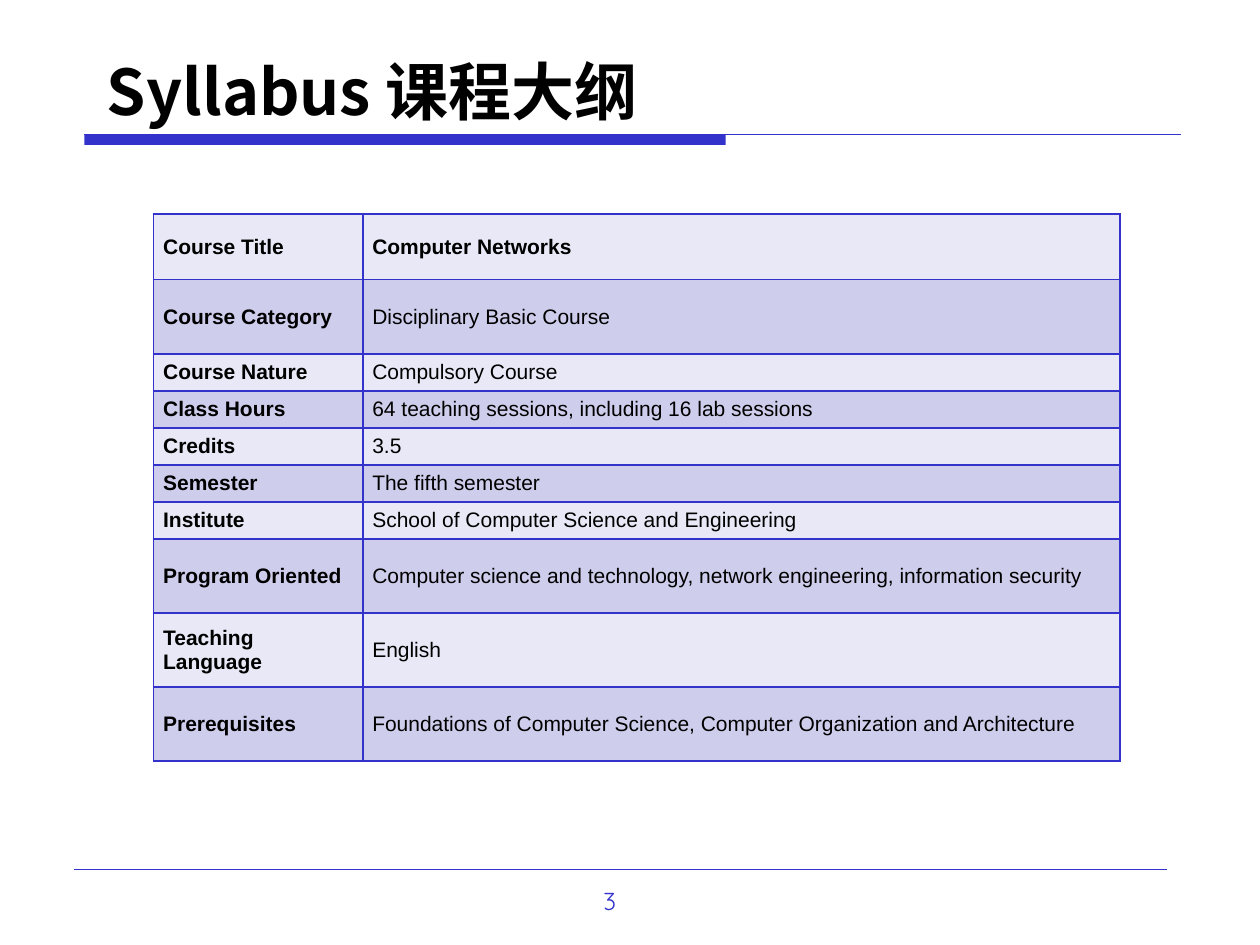
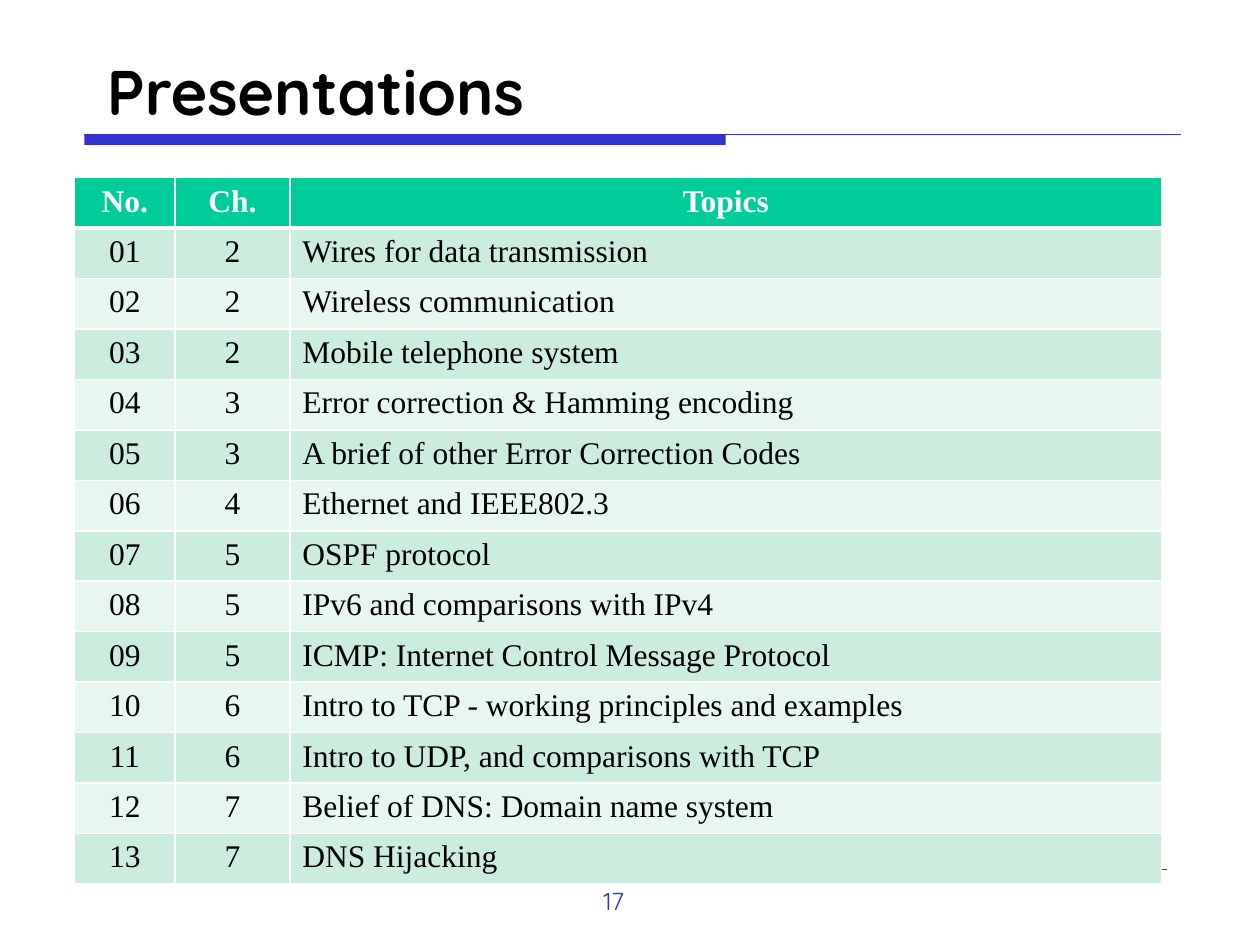
import dataclasses

import lxml.etree
import pptx
import pptx.dml.color
import pptx.enum.shapes
import pptx.enum.text
import pptx.oxml.ns
import pptx.util

ALIGN = pptx.enum.text.PP_ALIGN
ANCHOR = pptx.enum.text.MSO_ANCHOR
qn = pptx.oxml.ns.qn


@dataclasses.dataclass(frozen=True)
class Theme:
    accent: str = "3333CC"
    ink: str = "000000"
    paper: str = "FFFFFF"
    syllabus_bands: tuple = ("E8E8F6", "CECEEC")
    topic_header: str = "00CC99"
    topic_bands: tuple = ("CCECDE", "E7F6EF")
    heading_font: str = "Quicksand"
    chinese_font: str = "Noto Sans CJK SC"
    syllabus_font: str = "Arial"
    topic_font: str = "Times New Roman"
    title_size: int = 36
    page_size: int = 14
    syllabus_size: int = 12
    topic_size: int = 18


THEME = Theme()

# The slide is a grid of 100 columns by 75 rows
COLUMNS, ROWS = 100, 75
UNIT = pptx.util.Inches(0.1)

SYLLABUS = [  # label, value, height in text lines
    ("Course Title", "Computer Networks", 1.77),
    ("Course Category", "Disciplinary Basic Course", 2),
    ("Course Nature", "Compulsory Course", 1),
    ("Class Hours", "64 teaching sessions, including 16 lab sessions", 1),
    ("Credits", "3.5", 1),
    ("Semester", "The fifth semester", 1),
    ("Institute", "School of Computer Science and Engineering", 1),
    ("Program Oriented",
     "Computer science and technology, network engineering, information security", 2),
    ("Teaching Language", "English", 2),
    ("Prerequisites",
     "Foundations of Computer Science, Computer Organization and Architecture", 2),
]

TOPICS = [  # chapter, topic
    (2, "Wires for data transmission"),
    (2, "Wireless communication"),
    (2, "Mobile telephone system"),
    (3, "Error correction & Hamming encoding"),
    (3, "A brief of other Error Correction Codes"),
    (4, "Ethernet and IEEE802.3"),
    (5, "OSPF protocol"),
    (5, "IPv6 and comparisons with IPv4"),
    (5, "ICMP: Internet Control Message Protocol"),
    (6, "Intro to TCP - working principles and examples"),
    (6, "Intro to UDP, and comparisons with TCP"),
    (7, "Belief of DNS: Domain name system"),
    (7, "DNS Hijacking"),
]


def grid(*lengths):
    return [round(length * UNIT) for length in lengths]


def rgb(color):
    return pptx.dml.color.RGBColor.from_string(color)


def apply(target, values):
    for attribute, value in values.items():
        setattr(target, attribute, value)


def write(frame, text, font, size, color, bold=False, align=ALIGN.LEFT):
    paragraph = frame.paragraphs[0]
    paragraph.alignment = align
    run = paragraph.add_run()
    run.text = text
    apply(run.font, {"name": font, "size": pptx.util.Pt(size), "bold": bold})
    run.font.color.rgb = rgb(color)
    east_asian = lxml.etree.Element(qn("a:ea"), typeface=font)
    run.font._element.find(qn("a:latin")).addnext(east_asian)


# Slide frame: title, band, footer rule and page number
def add_label(slide, box, text, font, size, color, bold=False):
    frame = slide.shapes.add_textbox(*grid(*box)).text_frame
    apply(frame, {"word_wrap": True, "vertical_anchor": ANCHOR.MIDDLE})
    write(frame, text, font, size, color, bold)


def add_rule(slide, left, right, row, weight):
    rule = slide.shapes.add_connector(
        pptx.enum.shapes.MSO_CONNECTOR.STRAIGHT, *grid(left, row, right, row))
    rule.line.color.rgb = rgb(THEME.accent)
    rule.line.width = pptx.util.Pt(weight)
    lxml.etree.SubElement(rule._element.spPr, qn("a:effectLst"))


def add_band(slide, box):
    band = slide.shapes.add_shape(
        pptx.enum.shapes.MSO_SHAPE.RECTANGLE, *grid(*box))
    band.shadow.inherit = False
    band.fill.solid()
    band.fill.fore_color.rgb = rgb(THEME.accent)
    band.line.fill.background()


def add_framed_slide(deck, title, title_font, page):
    slide = deck.slides.add_slide(deck.slide_layouts[6])
    add_band(slide, (6.7, 10.7, 50.9, 0.8))
    add_rule(slide, 6.7, 93.7, 10.7, 0.75)
    add_rule(slide, 5.9, 92.6, 69, 0.25)
    add_label(slide, (46.9, 69.8, 8.7, 3.3), str(page),
              THEME.heading_font, THEME.page_size, THEME.accent)
    add_label(slide, (7.5, 3.6, 85, 7.1), title,
              title_font, THEME.title_size, THEME.ink, bold=True)
    return slide


# Tables
def add_grid_table(slide, left, top, widths, heights):
    table = slide.shapes.add_table(
        len(heights), len(widths),
        *grid(left, top, sum(widths), sum(heights))).table
    apply(table, {"first_row": False, "horz_banding": False})
    for column, width in zip(table.columns, grid(*widths)):
        column.width = width
    for row, height in zip(table.rows, grid(*heights)):
        row.height = height
    return table


def style_cell(cell, fill, border, margins, anchor, bottom_weight=1, top_weight=1):
    apply(cell, {"vertical_anchor": anchor,
                 "margin_left": margins[0], "margin_right": margins[0],
                 "margin_top": margins[1], "margin_bottom": margins[1]})
    weights = {"L": 1, "R": 1, "T": top_weight, "B": bottom_weight}
    properties = cell._tc.get_or_add_tcPr()
    for side, weight in weights.items():
        edge = lxml.etree.SubElement(
            properties, qn("a:ln" + side), w=str(pptx.util.Pt(weight)))
        paint = lxml.etree.SubElement(edge, qn("a:solidFill"))
        lxml.etree.SubElement(paint, qn("a:srgbClr"), val=border)
    cell.fill.solid()
    cell.fill.fore_color.rgb = rgb(fill)


def add_syllabus(slide):
    line_height = 2.94
    table = add_grid_table(slide, 12.2, 17, (16.6, 60.1),
                           [lines * line_height for *_, lines in SYLLABUS])
    for row, (label, value, _) in enumerate(SYLLABUS):
        for column, text in enumerate((label, value)):
            cell = table.cell(row, column)
            style_cell(cell, THEME.syllabus_bands[row % 2], THEME.accent,
                       grid(0.75, 0), ANCHOR.MIDDLE)
            write(cell.text_frame, text, THEME.syllabus_font,
                  THEME.syllabus_size, THEME.ink, bold=row == 0 or column == 0)


def add_topics(slide):
    entries = [("No.", "Ch.", "Topics")]
    entries += [(f"{number:02}", str(chapter), topic)
                for number, (chapter, topic) in enumerate(TOPICS, 1)]
    table = add_grid_table(slide, 5.9, 14.1, (8, 9.1, 69.2), [4] * len(entries))
    table.first_row = True
    for row, entry in enumerate(entries):
        header = row == 0
        fill = THEME.topic_header if header else THEME.topic_bands[(row - 1) % 2]
        for column, text in enumerate(entry):
            cell = table.cell(row, column)
            style_cell(cell, fill, THEME.paper, grid(1, 0.5), ANCHOR.TOP,
                       bottom_weight=3 if header else 1,
                       top_weight=3 if row == 1 else 1)
            write(cell.text_frame, text, THEME.topic_font, THEME.topic_size,
                  THEME.paper if header else THEME.ink, bold=header,
                  align=ALIGN.CENTER if header or column < 2 else ALIGN.LEFT)


def main():
    deck = pptx.Presentation()
    deck.slide_width, deck.slide_height = grid(COLUMNS, ROWS)
    add_syllabus(add_framed_slide(deck, "Syllabus 课程大纲", THEME.chinese_font, 3))
    add_topics(add_framed_slide(deck, "Presentations", THEME.heading_font, 17))
    deck.save("out.pptx")


if __name__ == "__main__":
    main()
